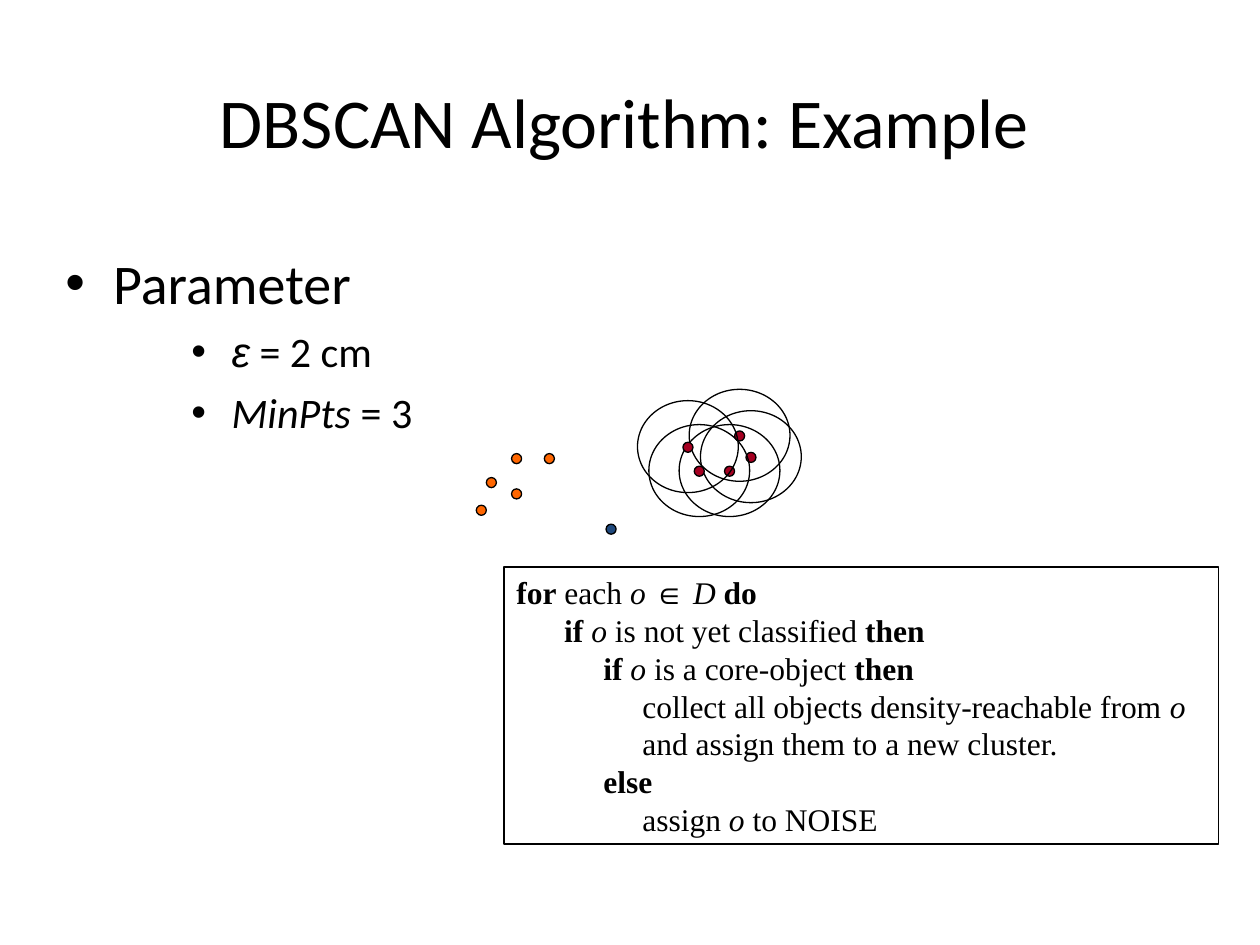
from lxml import etree
from pptx import Presentation
from pptx.dml.color import RGBColor
from pptx.enum.shapes import MSO_SHAPE as Shape
from pptx.enum.text import MSO_ANCHOR as Anchor, PP_ALIGN as Align
from pptx.oxml.ns import qn
from pptx.util import Inches, Pt

BLACK = RGBColor(0x00, 0x00, 0x00)
ORANGE = RGBColor(0xFF, 0x66, 0x00)
CRIMSON = RGBColor(0xA5, 0x00, 0x21)
NAVY = RGBColor(0x1F, 0x49, 0x7D)

DOT = 0.08
NEIGHBOURHOOD = (0.8, 0.73)
CORE_OFFSET = (0.36, 0.33)
PLAIN, BOLD, ITALIC = "plain", "bold", "italic"

UNASSIGNED = [(3.78, 4.01), (4.06, 3.6), (4.32, 3.6), (3.86, 3.79), (4.06, 3.88)]
NOISE = (4.81, 4.16)
NEIGHBOURHOODS = [(5.56, 3.26), (5.47, 3.09), (5.39, 3.37), (5.15, 3.37), (5.06, 3.18)]

PARAMETERS = [
    (0, 0.38, 0.38, 32, [("Parameter", PLAIN)]),
    (2, 1.32, 0.32, 24, [("ε", ITALIC, "Arial"), (" = 2 cm", PLAIN)]),
    (2, 1.32, 0.32, 24, [("MinPts", ITALIC), (" = 3", PLAIN)]),
]

CODE = [
    (0, [("for", BOLD), (" each ", PLAIN), ("o ", ITALIC), ("∈", PLAIN, "Arial"),
         (" D ", ITALIC), ("do", BOLD)]),
    (0.38, [("if ", BOLD), ("o", ITALIC), (" is not yet classified ", PLAIN), ("then", BOLD)]),
    (0.69, [("if ", BOLD), ("o", ITALIC), (" is a core-object ", PLAIN), ("then", BOLD)]),
    (1, [("collect all objects density-reachable from ", PLAIN), ("o", ITALIC)]),
    (1, [("and assign them to a new cluster.", PLAIN)]),
    (0.69, [("else", BOLD)]),
    (1, [("assign ", PLAIN), ("o", ITALIC), (" to NOISE", PLAIN)]),
]


class SlideBuilder:
    body_font = "Calibri"
    code_font = "Times New Roman"
    line_width = Pt(0.75)

    def __init__(self, slide):
        self.slide = slide

    def format_font(self, paragraph, name, size):
        paragraph.font.name = name
        paragraph.font.size = Pt(size)
        paragraph.font.color.rgb = BLACK

    def add_runs(self, paragraph, pieces):
        for text, style, *font_name in pieces:
            run = paragraph.add_run()
            run.text = text
            if style == BOLD:
                run.font.bold = True
            if style == ITALIC:
                run.font.italic = True
            if font_name:
                run.font.name = font_name[0]

    def paragraphs(self, frame, count):
        return [frame.paragraphs[0]] + [frame.add_paragraph() for _ in range(count - 1)]

    def indent(self, paragraph, left, hanging=0):
        properties = paragraph._p.get_or_add_pPr()
        properties.set("marL", str(Inches(left)))
        properties.set("indent", str(-Inches(hanging)))
        return properties

    def title(self, text, left, top, width, height):
        title = self.slide.shapes.title
        title.left, title.top = Inches(left), Inches(top)
        title.width, title.height = Inches(width), Inches(height)
        frame = title.text_frame
        frame.text = text
        frame.vertical_anchor = Anchor.MIDDLE
        frame.paragraphs[0].alignment = Align.CENTER
        self.format_font(frame.paragraphs[0], self.body_font, 40)

    def bullets(self, items, left, top, width, height):
        box = self.slide.shapes.add_textbox(
            Inches(left), Inches(top), Inches(width), Inches(height))
        frame = box.text_frame
        frame.word_wrap = True
        for paragraph, item in zip(self.paragraphs(frame, len(items)), items):
            level, margin, hanging, size, pieces = item
            paragraph.level = level
            if level:
                paragraph.space_before = Pt(6)
            properties = self.indent(paragraph, margin, hanging)
            etree.SubElement(properties, qn("a:buFont"), typeface="Arial")
            etree.SubElement(properties, qn("a:buChar"), char="•")
            self.format_font(paragraph, self.body_font, size)
            self.add_runs(paragraph, pieces)

    def outlined(self, kind, left, top, width, height, fill=None):
        shape = self.slide.shapes.add_shape(
            kind, Inches(left), Inches(top), Inches(width), Inches(height))
        shape.shadow.inherit = False
        if fill is None:
            shape.fill.background()
        else:
            shape.fill.solid()
            shape.fill.fore_color.rgb = fill
        shape.line.color.rgb = BLACK
        shape.line.width = self.line_width
        return shape

    def point(self, left, top, color):
        self.outlined(Shape.OVAL, left, top, DOT, DOT, color)

    def core_point(self, left, top):
        self.outlined(Shape.OVAL, left, top, *NEIGHBOURHOOD)
        self.point(left + CORE_OFFSET[0], top + CORE_OFFSET[1], CRIMSON)

    def code(self, lines, left, top, width, height):
        frame = self.outlined(Shape.RECTANGLE, left, top, width, height).text_frame
        frame.word_wrap = True
        frame.vertical_anchor = Anchor.TOP
        for paragraph, (margin, pieces) in zip(self.paragraphs(frame, len(lines)), lines):
            paragraph.alignment = Align.LEFT
            paragraph.line_spacing = 1.0
            self.indent(paragraph, margin)
            self.format_font(paragraph, self.code_font, 18)
            self.add_runs(paragraph, pieces)


def main():
    deck = Presentation()
    deck.slide_width, deck.slide_height = Inches(10), Inches(7.5)
    builder = SlideBuilder(deck.slides.add_slide(deck.slide_layouts[5]))

    builder.title("DBSCAN Algorithm: Example", 0.58, 0.25, 8.75, 1.42)
    builder.bullets(PARAMETERS, 0.42, 1.92, 8.5, 4.5)
    for left, top in UNASSIGNED:
        builder.point(left, top, ORANGE)
    builder.point(*NOISE, NAVY)
    for left, top in NEIGHBOURHOODS:
        builder.core_point(left, top)
    builder.code(CODE, 4, 4.5, 5.67, 2.2)

    deck.save("out.pptx")


if __name__ == "__main__":
    main()
